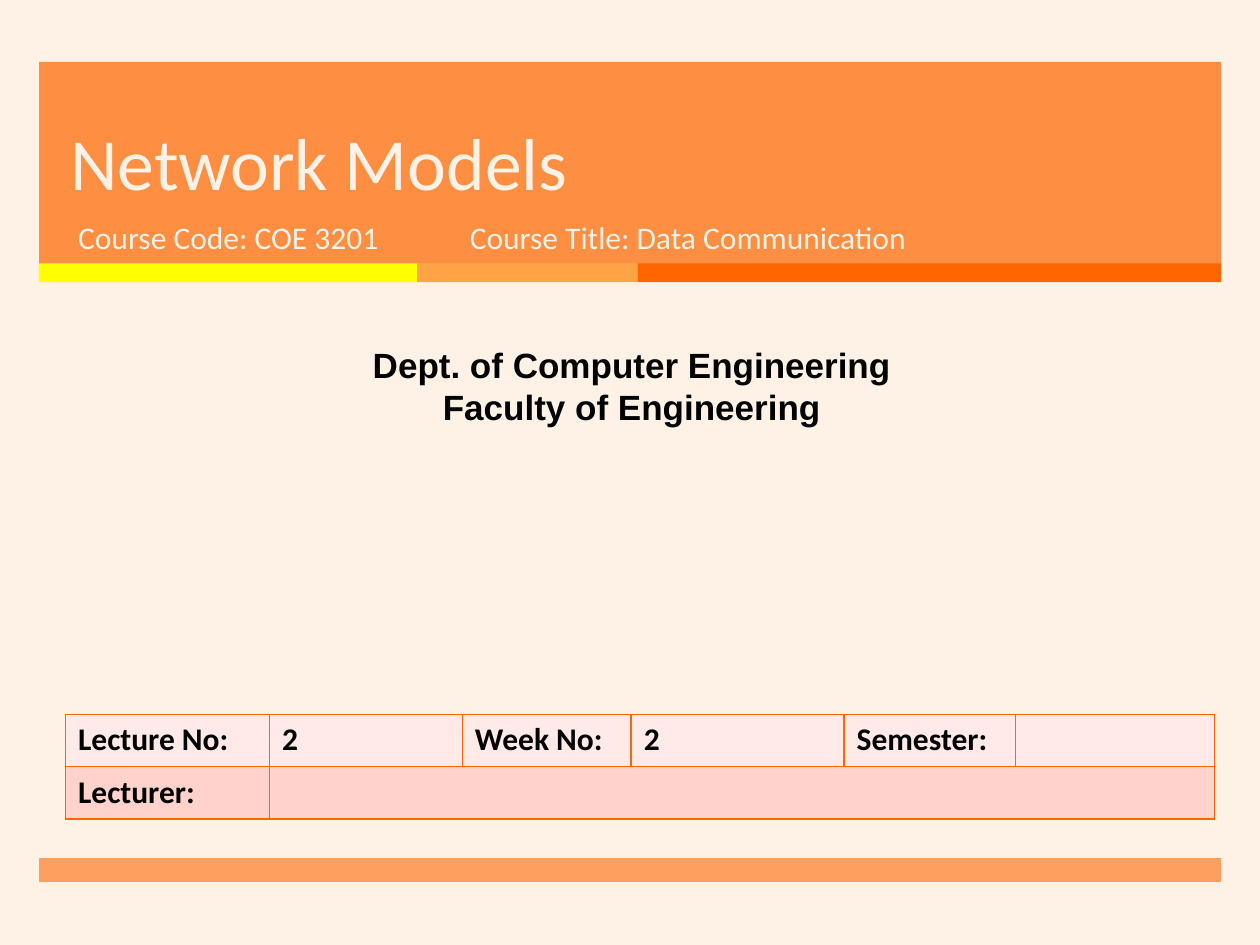
from lxml import etree
from pptx import Presentation
from pptx import util as u
from pptx.dml.color import RGBColor
from pptx.enum import shapes, text
from pptx.oxml import ns

CREAM = RGBColor(0xFE, 0xF2, 0xE6)
ORANGE = RGBColor(0xFF, 0x7D, 0x26)
YELLOW = RGBColor(0xFF, 0xFF, 0x00)
AMBER = RGBColor(0xFF, 0xA3, 0x47)
DEEP = RGBColor(0xFF, 0x66, 0x00)
BLACK = RGBColor(0, 0, 0)
BLUSH = RGBColor(0xFF, 0xEA, 0xE7)
ROSE = RGBColor(0xFF, 0xD3, 0xCC)

LIGHT = {"name": "Calibri", "size": u.Pt(18), "color": CREAM}
LARGE = {**LIGHT, "size": u.Pt(42)}
DARK = {"name": "Arial", "size": u.Pt(20), "color": BLACK, "bold": True}
LABEL = {**DARK, "name": "Calibri", "size": u.Pt(18)}


def place(shape, box):
    for key, val in zip(("left", "top", "width", "height"), box):
        setattr(shape, key, u.Inches(val))


def write(frame, lines, style, align=text.PP_ALIGN.LEFT):
    frame.text = "\n".join(lines)
    for para in frame.paragraphs:
        para.alignment = align
        para.space_before = u.Pt(0)
        for run in para.runs:
            for key, val in style.items():
                if key == "color":
                    run.font.color.rgb = val
                else:
                    setattr(run.font, key, val)


def set_frame(frame, anchor):
    form = {"word_wrap": True, "auto_size": text.MSO_AUTO_SIZE.NONE,
            "vertical_anchor": anchor}
    for key, val in form.items():
        setattr(frame, key, val)


def add_bar(parent, box, color, alpha=None):
    bar = parent.add_shape(shapes.MSO_SHAPE.RECTANGLE, *map(u.Inches, box))
    bar.shadow.inherit = False
    bar.fill.solid()
    bar.fill.fore_color.rgb = color
    bar.line.fill.background()
    if alpha:
        tone = bar._element.spPr.find(".//" + ns.qn("a:srgbClr"))
        etree.SubElement(tone, ns.qn("a:alpha"), val=str(alpha * 1000))


def add_note(slide, box, lines, style, align=text.PP_ALIGN.LEFT):
    note = slide.shapes.add_textbox(*map(u.Inches, box))
    set_frame(note.text_frame, text.MSO_ANCHOR.TOP)
    write(note.text_frame, lines, style, align)


def fill_holder(slide, index, box, line, style, anchor):
    holder = slide.placeholders[index]
    slide.shapes._spTree.append(holder._element)
    place(holder, box)
    set_frame(holder.text_frame, anchor)
    write(holder.text_frame, [line], style)
    return holder


def add_head(slide, box):
    left, top, width, height = box
    add_bar(slide.shapes, box, ORANGE, 85)
    group = slide.shapes.add_group_shape()
    edge = left
    for part, color in ((3, YELLOW), (1.75, AMBER), (width - 4.75, DEEP)):
        add_bar(group.shapes, (edge, top + height - 0.01, part, 0.15), color)
        edge += part
    title = fill_holder(slide, 0, (left + 0.15, top, 8.54, 1.19),
                        "Network Models", LARGE, text.MSO_ANCHOR.BOTTOM)
    title.text_frame.paragraphs[0].line_spacing = u.Pt(46)
    row = top + 1.19
    fill_holder(slide, 1, (left + 0.21, row, 3.05, 0.53),
                "Course Code: COE 3201", LIGHT, text.MSO_ANCHOR.TOP)
    add_note(slide, (left + 3.32, row, 4.55, 0.53),
             ["Course Title: Data Communication"], LIGHT)


def edge_cell(cell):
    props = cell._tc.get_or_add_tcPr()
    for spot, side in enumerate(("a:lnL", "a:lnR", "a:lnT", "a:lnB")):
        line = etree.Element(ns.qn(side), w=str(u.Pt(1)))
        solid = etree.SubElement(line, ns.qn("a:solidFill"))
        etree.SubElement(solid, ns.qn("a:srgbClr"), val=str(DEEP))
        props.insert(spot, line)


def add_grid(slide, box):
    rows = (("Lecture No:", "2", "Week No:", "2", "Semester:", ""),
            ("Lecturer:", "", "", "", "", ""))
    grid = slide.shapes.add_table(2, 6, *map(u.Inches, box)).table
    for col, width in zip(grid.columns, (1.62, 1.53, 1.34, 1.69, 1.36, 1.58)):
        col.width = u.Inches(width)
    for r, (words, color) in enumerate(zip(rows, (BLUSH, ROSE))):
        for c, word in enumerate(words):
            cell = grid.cell(r, c)
            cell.fill.solid()
            cell.fill.fore_color.rgb = color
            edge_cell(cell)
            write(cell.text_frame, [word], LABEL)
    grid.cell(1, 1).merge(grid.cell(1, 5))


def build():
    deck = Presentation()
    deck.slide_width, deck.slide_height = u.Inches(10), u.Inches(7.5)
    slide = deck.slides.add_slide(deck.slide_layouts[0])
    slide.background.fill.solid()
    slide.background.fill.fore_color.rgb = CREAM
    add_head(slide, (0.31, 0.49, 9.38, 1.61))
    add_bar(slide.shapes, (0.31, 6.81, 9.38, 0.19), ORANGE, 70)
    add_note(slide, (0.08, 2.68, 9.87, 0.77),
             ["Dept. of Computer Engineering", "Faculty of Engineering"],
             DARK, text.PP_ALIGN.CENTER)
    add_grid(slide, (0.52, 5.67, 9.12, 0.83))
    deck.save("out.pptx")


build()
